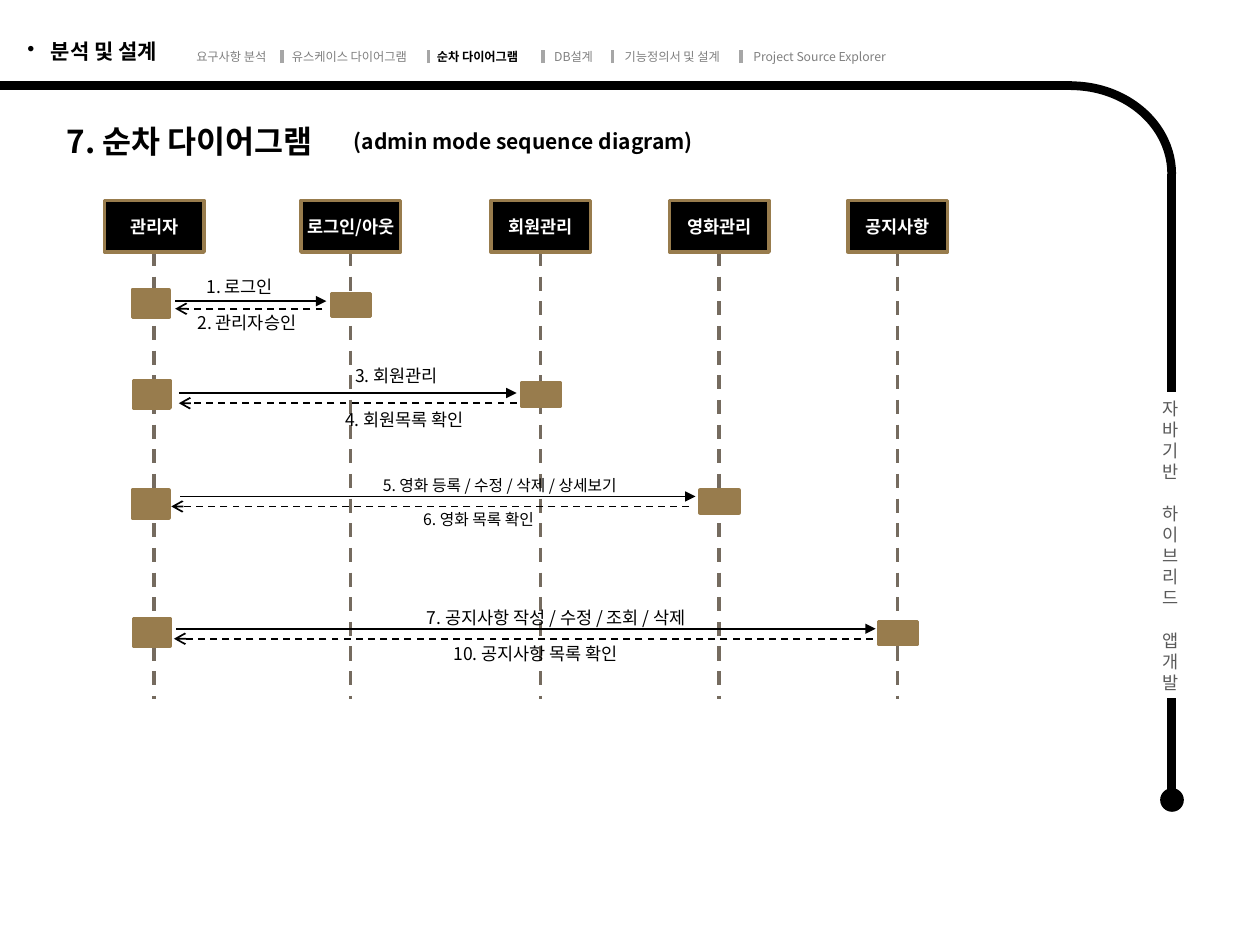
from lxml import etree
from pptx import Presentation
from pptx import util as u
from pptx.dml.color import RGBColor
from pptx.enum import dml, shapes, text
from pptx.oxml.ns import qn

BLACK, WHITE, BRONZE, STONE = "000000", "FFFFFF", "987C4D", "756B5F"
GREY, LIGHT_GREY, DARK_GREY = "808080", "A6A6A6", "595959"


def color(value):
    return RGBColor.from_string(value)


class Sketch:
    font = "Noto Sans CJK KR"

    def __init__(self, slide):
        self.slide = slide

    def place(self, box, left, top, width, height):
        box.left, box.top = u.Pt(left), u.Pt(top)
        box.width, box.height = u.Pt(width), u.Pt(height)

    def run(self, paragraph, words, size, ink, bold=False):
        run = paragraph.add_run()
        run.text = words
        run.font.name, run.font.size, run.font.bold = self.font, u.Pt(size), bold
        run.font.color.rgb = color(ink)
        for tag in ("a:ea", "a:cs"):
            etree.SubElement(run.font._element, qn(tag), typeface=self.font)

    def text(self, words, left, top, width, height, size, ink=BLACK, bold=False, wrap=True):
        box = self.slide.shapes.add_textbox(*map(u.Pt, (left, top, width, height)))
        box.text_frame.word_wrap = wrap
        paragraph = box.text_frame.paragraphs[0]
        self.run(paragraph, words, size, ink, bold)
        return paragraph

    def title(self, words, left, top, width, height, size):
        box = self.slide.shapes.title
        self.place(box, left, top, width, height)
        frame = box.text_frame
        frame.word_wrap = True
        frame.auto_size = text.MSO_AUTO_SIZE.NONE
        frame.vertical_anchor = text.MSO_ANCHOR.TOP
        paragraph = frame.paragraphs[0]
        paragraph.alignment = text.PP_ALIGN.LEFT
        self.run(paragraph, words, size, BLACK, True)

    def column(self, words, left, top, width, height, size, pitch):
        """Stack the letters of each word, one letter a line."""
        box = self.slide.shapes.add_textbox(*map(u.Pt, (left, top, width, height)))
        frame = box.text_frame
        frame.word_wrap = True
        for w, word in enumerate(words):
            for i, letter in enumerate(word):
                first = w == 0 and i == 0
                paragraph = frame.paragraphs[0] if first else frame.add_paragraph()
                if w and i == 0:
                    paragraph.space_before = u.Pt(pitch)
                self.run(paragraph, letter, size, DARK_GREY)

    def shape(self, kind, left, top, width, height, fill, line, weight=2):
        shape = self.slide.shapes.add_shape(kind, *map(u.Pt, (left, top, width, height)))
        shape.shadow.inherit = False
        if fill:
            shape.fill.solid()
            shape.fill.fore_color.rgb = color(fill)
        else:
            shape.fill.background()
        shape.line.color.rgb = color(line)
        shape.line.width = u.Pt(weight)
        return shape

    def bar(self, left, top, width, height):
        self.shape(shapes.MSO_SHAPE.RECTANGLE, left, top, width, height, BRONZE, BRONZE)

    def head(self, words, left, top, width, height):
        box = self.shape(shapes.MSO_SHAPE.RECTANGLE, left, top, width, height, BLACK, BRONZE)
        frame = box.text_frame
        frame.margin_left = frame.margin_right = frame.margin_top = frame.margin_bottom = 0
        frame.vertical_anchor = text.MSO_ANCHOR.MIDDLE
        frame.paragraphs[0].alignment = text.PP_ALIGN.CENTER
        self.run(frame.paragraphs[0], words, 10, WHITE, True)

    def line(self, x1, y1, x2, y2, ink=BLACK, weight=1.0, dashed=False, arrow=None):
        line = self.slide.shapes.add_connector(
            shapes.MSO_CONNECTOR.STRAIGHT, *map(u.Pt, (x1, y1, x2, y2)))
        line.line.color.rgb = color(ink)
        line.line.width = u.Pt(weight)
        if dashed:
            line.line.dash_style = dml.MSO_LINE.DASH
        if arrow:
            etree.SubElement(line.line._get_or_add_ln(), qn("a:tailEnd"), type=arrow)
        etree.SubElement(line._element.spPr, qn("a:effectLst"))


def frame_and_navigation(sketch):
    # Curved frame with the project name on its right side
    edge = 669.6
    sketch.line(0, 49, 612.7, 49, weight=5)
    sketch.shape(shapes.MSO_SHAPE.ARC, 554.4, 49, 115.2, 100.8, None, BLACK, 5)
    sketch.line(edge, 223.9, edge, 99.4, weight=5)
    sketch.column(["자바기반", "하이브리드", "앱개발"], 657.4, 223.9, 28, 177.1, 10, 12.1)
    sketch.line(edge, 457.2, edge, 398.9, weight=5)
    sketch.shape(shapes.MSO_SHAPE.OVAL, 664.0, 451.4, 11.5, 11.5, BLACK, BLACK)

    # Section name and its steps
    section = sketch.text("분석 및 설계", 8.6, 18.7, 108, 21.6, 12, bold=True)
    properties = section._p.get_or_add_pPr()
    properties.set("marL", str(u.Pt(13.5)))
    properties.set("indent", str(-u.Pt(13.5)))
    etree.SubElement(properties, qn("a:buChar"), char="•")

    steps = [("요구사항 분석", 105.1, 62.6), ("유스케이스 다이어그램", 159.8, 90.7),
             ("순차 다이어그램", 242.6, 67.7), ("DB설계", 309.6, 39.6),
             ("기능정의서 및 설계", 349.9, 85), ("Project Source Explorer", 423.4, 96.5)]
    for words, left, width in steps:
        current = words == "순차 다이어그램"
        sketch.text(words, left, 24.8, width, 15.8, 7, BLACK if current else GREY, current)
    for x in (161.3, 244.8, 310.3, 349.9, 423.4):
        sketch.line(x, 36, x, 28.8, LIGHT_GREY, 2)


def sequence(sketch):
    # Participants and lifelines
    participants = [("관리자", 88.1), ("로그인/아웃", 200.4), ("회원관리", 309),
                    ("영화관리", 411), ("공지사항", 513)]
    for name, center in participants:
        sketch.line(center, 144, center, 399.6, STONE, 2, dashed=True)
        sketch.head(name, center - 28.4, 114.5, 56.9, 29.5)

    # Activation bars: admin left and top, target top
    bars = [(75.6, 165.6, 167.8), (76.3, 217.4, 218.9), (75.6, 280.1, 280.1), (76.3, 353.5, 355)]
    for (left, top, target_top), (_, center) in zip(bars, participants[1:]):
        sketch.bar(left, top, 20.9, 15.8)
        sketch.bar(center - 11, target_top, 22.3, 13)

    # Calls and replies: start, end, height
    calls = [(100.1, 186.5, 172.1), (102.2, 295.2, 224.6),
             (103, 397.4, 283.7), (100.8, 500.4, 359.3)]
    replies = [(184.3, 100.1, 176.4), (295.2, 102.2, 230.4),
               (393.8, 97.9, 289.4), (499, 99.4, 365)]
    for start, end, y in calls:
        sketch.line(start, y, end, y, arrow="triangle")
    for start, end, y in replies:
        sketch.line(start, y, end, y, dashed=True, arrow="arrow")

    # Message labels: left, top, width, size
    labels = [("1. 로그인", 110.9, 154.1, 56.2, 10), ("2. 관리자승인", 105.8, 175, 76.3, 10),
              ("3. 회원관리", 195.8, 205.2, 66.2, 10), ("4. 회원목록 확인", 190.1, 230.4, 90, 10),
              ("5. 영화 등록 / 수정 / 삭제 / 상세보기", 211.7, 268.6, 170.6, 9),
              ("6. 영화 목록 확인", 234.7, 288, 85.7, 9),
              ("7. 공지사항 작성 / 수정 / 조회 / 삭제", 236.9, 343.4, 183.6, 10),
              ("10. 공지사항 목록 확인", 252, 363.6, 119.5, 10)]
    for words, left, top, width, size in labels:
        sketch.text(words, left, top, width, size + 9.2, size, wrap=False)


def main():
    deck = Presentation()
    deck.slide_width, deck.slide_height = u.Pt(720), u.Pt(540)
    sketch = Sketch(deck.slides.add_slide(deck.slide_layouts[5]))
    frame_and_navigation(sketch)
    sequence(sketch)
    # Title and subtitle
    sketch.title("7. 순차 다이어그램", 31, 66.2, 229.7, 28.8, 18)
    sketch.text("(admin mode sequence diagram)", 195.1, 69.8, 238.3, 21.6, 12, bold=True)
    deck.save("out.pptx")


if __name__ == "__main__":
    main()
